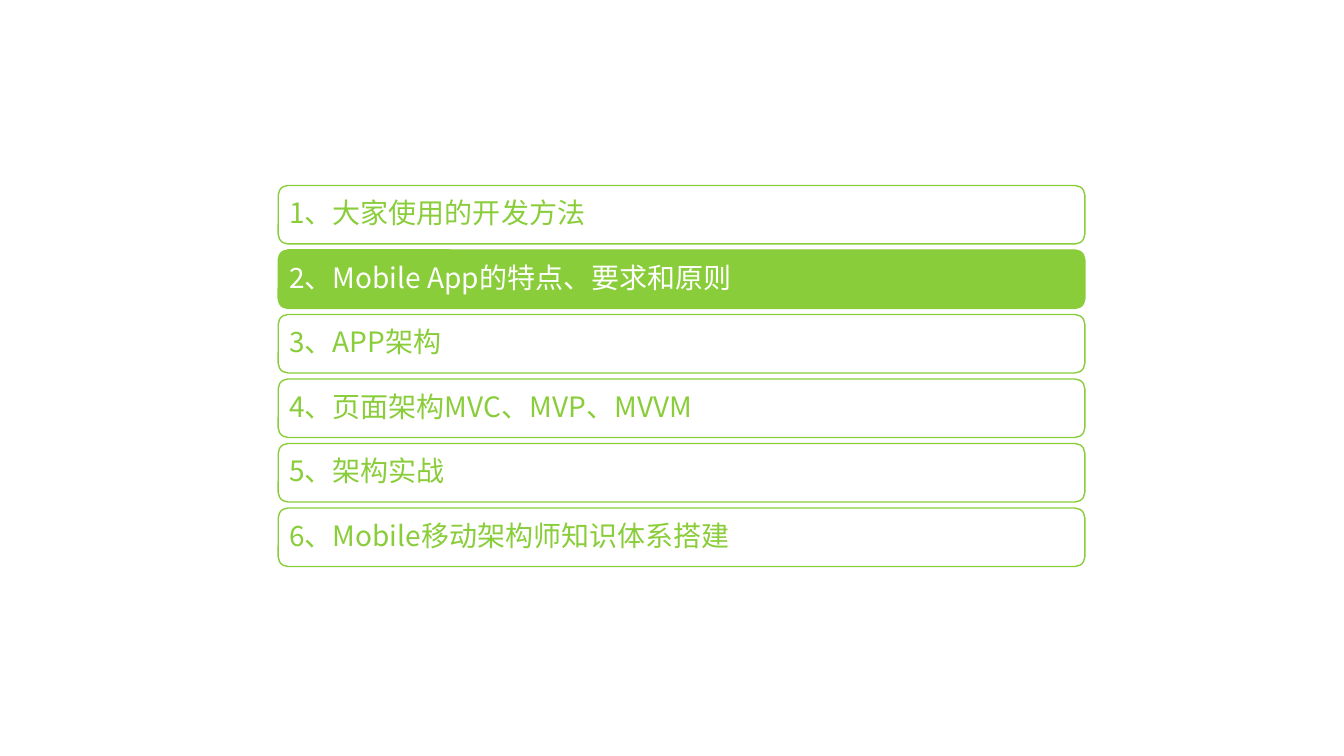
from dataclasses import dataclass

from lxml.etree import SubElement
from pptx import Presentation
from pptx.dml.color import RGBColor
from pptx.enum.shapes import MSO_SHAPE
from pptx.enum.text import MSO_ANCHOR, PP_ALIGN
from pptx.oxml.ns import qn
from pptx.util import Inches, Pt


@dataclass(frozen=True)
class Theme:
    green: RGBColor = RGBColor(0x8A, 0xCD, 0x3A)
    white: RGBColor = RGBColor(0xFF, 0xFF, 0xFF)
    font: str = "Noto Sans CJK SC"
    size: float = 20
    line: float = 1


@dataclass(frozen=True)
class AgendaItem:
    text: str
    current: bool = False


THEME = Theme()
LEFT, TOP, WIDTH, HEIGHT, PITCH = 2.76, 1.84, 8, 0.58, 0.64
INSET = 0.08

AGENDA = [
    AgendaItem("1、大家使用的开发方法"),
    AgendaItem("2、Mobile App的特点、要求和原则", current=True),
    AgendaItem("3、APP架构"),
    AgendaItem("4、页面架构MVC、MVP、MVVM"),
    AgendaItem("5、架构实战"),
    AgendaItem("6、Mobile移动架构师知识体系搭建"),
]


def write_text(tf, text: str, *, color: RGBColor, size: float = THEME.size,
               font: str = THEME.font, inset: float = INSET) -> None:
    tf.word_wrap = True
    tf.vertical_anchor = MSO_ANCHOR.MIDDLE
    tf.margin_left = tf.margin_right = Inches(inset)
    tf.margin_top = tf.margin_bottom = Inches(inset)
    p = tf.paragraphs[0]
    p.alignment = PP_ALIGN.LEFT
    p.line_spacing = 0.9
    r = p.add_run()
    r.text = text
    r.font.size = Pt(size)
    r.font.name = font
    r.font.color.rgb = color
    # East Asian typeface for the Chinese characters
    SubElement(r.font._element, qn("a:ea"), typeface=font)


def add_agenda_bar(s, item: AgendaItem, top: float) -> None:
    sp = s.shapes.add_shape(MSO_SHAPE.ROUNDED_RECTANGLE, Inches(LEFT),
                            Inches(top), Inches(WIDTH), Inches(HEIGHT))
    sp.shadow.inherit = False
    sp.fill.solid()
    sp.fill.fore_color.rgb = THEME.green if item.current else THEME.white
    sp.line.color.rgb = THEME.green
    sp.line.width = Pt(THEME.line)
    write_text(sp.text_frame, item.text,
               color=THEME.white if item.current else THEME.green)


def main() -> None:
    prs = Presentation()
    prs.slide_width, prs.slide_height = Inches(13.33), Inches(7.5)
    s = prs.slides.add_slide(prs.slide_layouts[6])

    # Agenda, with the current chapter filled
    for i, item in enumerate(AGENDA):
        add_agenda_bar(s, item, TOP + i * PITCH)

    prs.save("out.pptx")


if __name__ == "__main__":
    main()
